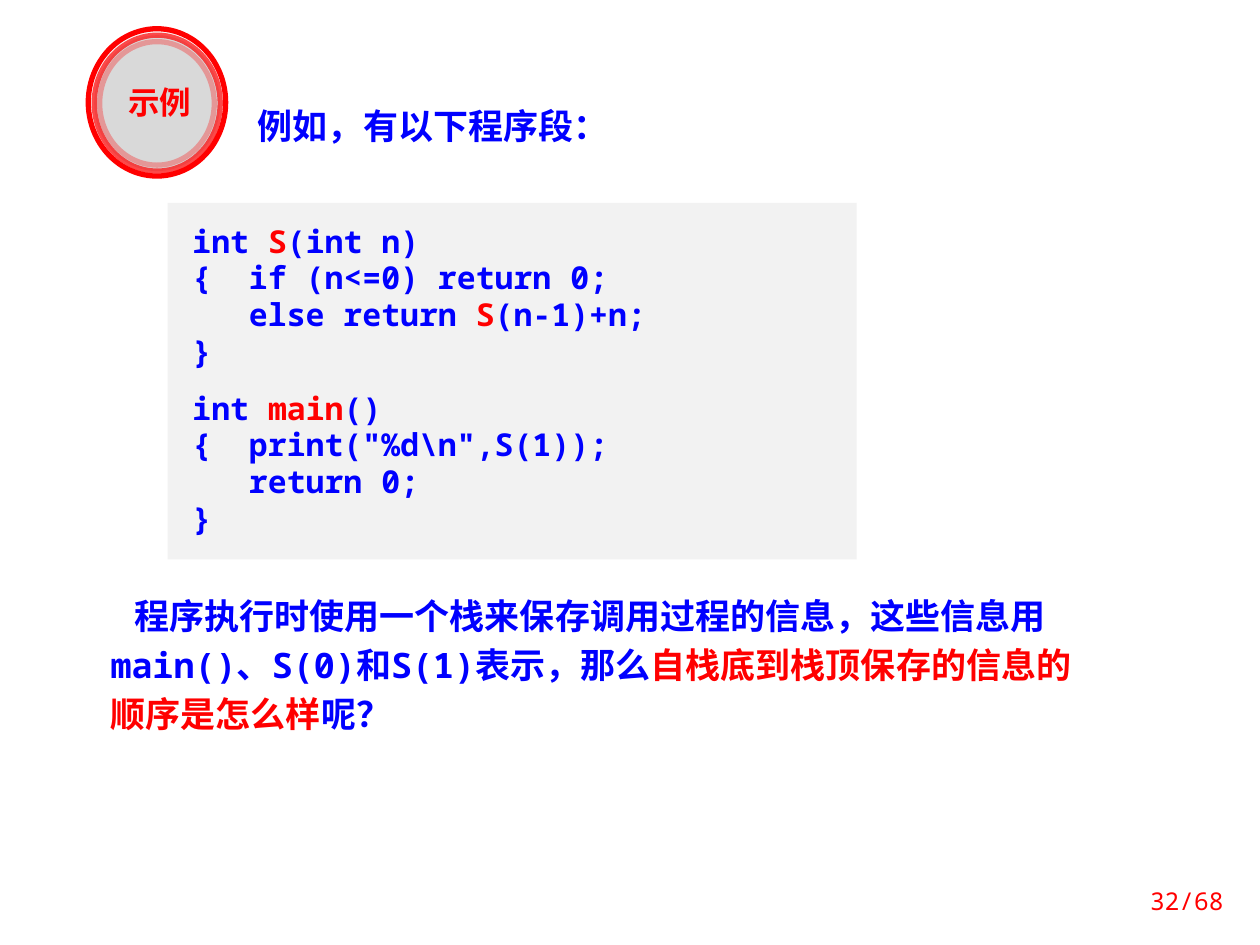
from dataclasses import dataclass
from typing import Optional

from lxml import etree
from pptx import Presentation
from pptx.dml.color import RGBColor
from pptx.enum.shapes import MSO_SHAPE
from pptx.enum.text import MSO_ANCHOR, MSO_AUTO_SIZE, PP_ALIGN
from pptx.oxml.ns import qn
from pptx.util import Cm, Pt

OVAL, RECTANGLE = MSO_SHAPE.OVAL, MSO_SHAPE.RECTANGLE
LEFT, CENTER, RIGHT = PP_ALIGN.LEFT, PP_ALIGN.CENTER, PP_ALIGN.RIGHT
TOP, MIDDLE = MSO_ANCHOR.TOP, MSO_ANCHOR.MIDDLE
GROW, FIXED = MSO_AUTO_SIZE.SHAPE_TO_FIT_TEXT, MSO_AUTO_SIZE.NONE

RED = RGBColor(0xFF, 0x00, 0x00)
BLUE = RGBColor(0x00, 0x00, 0xFF)
PALE = RGBColor(0xF8, 0xF8, 0xF8)
GRAY = RGBColor(0xD9, 0xD9, 0xD9)
CODE_GRAY = RGBColor(0xF2, 0xF2, 0xF2)

SANS, MONO = "Noto Sans CJK SC", "Noto Sans Mono"
CODE_INDENT = Cm(1.14)  # three monospaced characters at 18 pt


@dataclass
class Ring:
    left: float
    top: float
    width: float
    height: float
    fill: Optional[RGBColor]
    opacity: int


@dataclass
class Line:
    runs: list  # (text, colour) pairs
    spacing: object = None
    margin: int = 0
    indent: int = 0
    align: object = LEFT


@dataclass
class Style:
    size: int
    font: str = MONO
    bold: bool = True


def add_ring(shapes, ring: Ring) -> None:
    shape = shapes.add_shape(OVAL, Cm(ring.left), Cm(ring.top), Cm(ring.width), Cm(ring.height))
    shape.shadow.inherit = False
    if ring.fill is None:
        shape.fill.background()
    else:
        shape.fill.solid()
        shape.fill.fore_color.rgb = ring.fill
    shape.line.color.rgb = RED
    shape.line.width = Pt(3)
    if ring.opacity < 100:
        color = shape.line._get_or_add_ln().find(".//" + qn("a:srgbClr"))
        etree.SubElement(color, qn("a:alpha"), val=str(ring.opacity * 1000))


def write_lines(shape, lines: list, style: Style, **frame_format) -> None:
    frame = shape.text_frame
    settings = {"word_wrap": True, "auto_size": GROW, "vertical_anchor": TOP, **frame_format}
    for name, value in settings.items():
        setattr(frame, name, value)
    for number, line in enumerate(lines):
        paragraph = frame.add_paragraph() if number else frame.paragraphs[0]
        paragraph.alignment = line.align
        if line.spacing is not None:
            paragraph.line_spacing = line.spacing
        if line.margin or line.indent:
            properties = paragraph._p.get_or_add_pPr()
            properties.set("marL", str(int(line.margin)))
            properties.set("indent", str(int(line.indent)))
        for text, color in line.runs:
            run = paragraph.add_run()
            run.text = text
            font_format = {"name": style.font, "size": Pt(style.size), "bold": style.bold}
            for name, value in font_format.items():
                setattr(run.font, name, value)
            run.font.color.rgb = color
            latin = run.font._element.find(qn("a:latin"))
            latin.addnext(etree.Element(qn("a:ea"), typeface=SANS))


def add_text(shapes, left: float, top: float, width: float, height: float,
             lines: list, style: Style, **frame_format) -> None:
    box = shapes.add_textbox(Cm(left), Cm(top), Cm(width), Cm(height))
    write_lines(box, lines, style, **frame_format)


def code_line(*runs, body: bool = False, brace: bool = False, spacing=Pt(21)) -> Line:
    margin = CODE_INDENT if body or brace else 0
    return Line(list(runs), spacing, margin, -CODE_INDENT if brace else 0)


RINGS = [
    Ring(1.78, 0.58, 2.77, 2.97, PALE, 100),
    Ring(1.9, 0.71, 2.54, 2.74, GRAY, 70),
    Ring(2.01, 0.84, 2.31, 2.49, None, 30),
]

CODE = [
    code_line(("int ", BLUE), ("S", RED), ("(int n)", BLUE)),
    code_line(("{\tif (n<=0) return 0;", BLUE), brace=True),
    code_line(("else return ", BLUE), ("S", RED), ("(n-1)+n;", BLUE), body=True),
    code_line(("}", BLUE)),
    code_line(("int ", BLUE), ("main", RED), ("()", BLUE), spacing=1.5),
    code_line(('{\tprint("%d\\n",S(1));', BLUE), brace=True),
    code_line(("return 0;", BLUE), body=True),
    code_line(("}", BLUE)),
]

QUESTION = Line([
    ("程序执行时使用一个栈来保存调用过程的信息，这些信息用main()、S(0)和S(1)表示，那么", BLUE),
    ("自栈底到栈顶保存的信息的顺序是怎么样", RED),
    ("呢？", BLUE),
], Pt(28), indent=Cm(0.48))


def main() -> None:
    presentation = Presentation()
    presentation.slide_width, presentation.slide_height = Cm(25.4), Cm(19.05)
    slide = presentation.slides.add_slide(presentation.slide_layouts[6])
    shapes = slide.shapes

    # Example badge
    badge = shapes.add_group_shape()
    for ring in RINGS:
        add_ring(badge.shapes, ring)
    add_text(badge.shapes, 2.21, 1.7, 2.03, 0.86,
             [Line([("示例", RED)], 0.8, align=CENTER)], Style(18, SANS))

    # Heading
    add_text(shapes, 4.95, 1.98, 7.75, 1.12,
             [Line([("例如，有以下程序段：", BLUE)])], Style(20, SANS))

    # Code panel
    panel = shapes.add_shape(RECTANGLE, Cm(3.38), Cm(4.09), Cm(13.89), Cm(7.19))
    panel.shadow.inherit = False
    panel.fill.solid()
    panel.fill.fore_color.rgb = CODE_GRAY
    panel.line.fill.background()
    write_lines(panel, CODE, Style(18), margin_left=Cm(0.5), margin_right=Cm(0.25),
                margin_top=Cm(0.4), margin_bottom=Cm(0.4))

    # Question
    add_text(shapes, 1.98, 11.71, 20.45, 3.25, [QUESTION], Style(20))

    # Page number
    add_text(shapes, 22.43, 17.65, 2.49, 1.02,
             [Line([("32/68", RED)], align=RIGHT)], Style(14, bold=False),
             auto_size=FIXED, vertical_anchor=MIDDLE)

    presentation.save("out.pptx")


if __name__ == "__main__":
    main()
